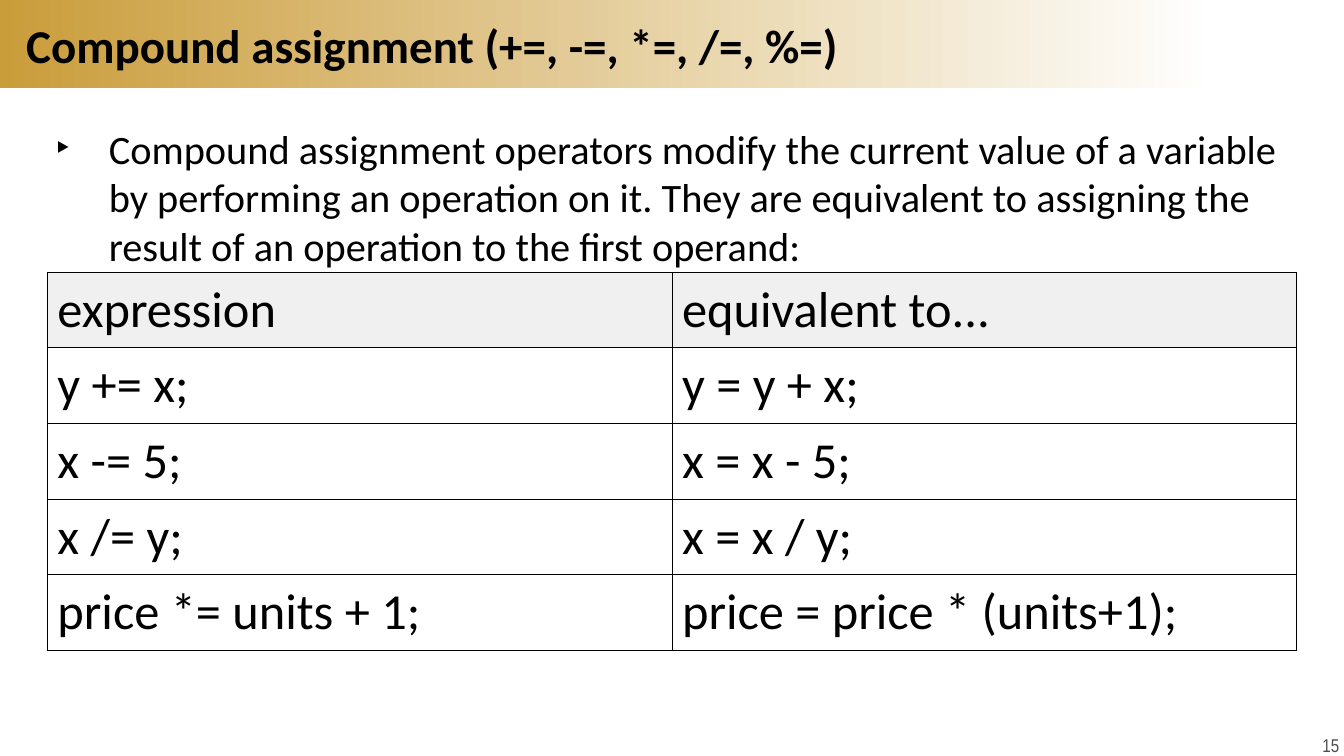
from lxml import etree
from pptx import Presentation, util as u
from pptx.dml.color import RGBColor
from pptx.enum import shapes, text
from pptx.oxml import ns

COLORS = {"gold": "CA9D3B", "white": "FFFFFF", "black": "000000",
          "header": "F0F0F0", "grey": "4D4D4D"}
OPERATORS = [
    ("expression", "equivalent to..."),
    ("y += x;", "y = y + x;"),
    ("x -= 5;", "x = x - 5;"),
    ("x /= y;", "x = x / y;"),
    ("price *= units + 1;", "price = price * (units+1);"),
]


def color(name):
    return RGBColor.from_string(COLORS[name])


def write(frame, words, size, ink="black", font="Calibri", bold=False, **layout):
    frame.text = words
    for name, value in layout.items():
        setattr(frame, name, value)
    line = frame.paragraphs[0]
    line.space_before = u.Pt(0)
    run_font = line.runs[0].font
    for name, value in {"name": font, "size": u.Pt(size), "bold": bold}.items():
        setattr(run_font, name, value)
    run_font.color.rgb = color(ink)
    return line


deck = Presentation()
deck.slide_width, deck.slide_height = u.Inches(13.33), u.Inches(7.5)
slide = deck.slides.add_slide(deck.slide_layouts[1])
title, explanation = slide.placeholders

# Gold banner, behind the title
banner = slide.shapes.add_shape(shapes.MSO_SHAPE.RECTANGLE, 0, 0,
                                u.Inches(12.06), u.Inches(0.87))
banner.shadow.inherit = False
banner.line.fill.background()
banner.fill.gradient()
banner.fill.gradient_angle = 0
for stop, shade in zip(banner.fill.gradient_stops, ("gold", "white")):
    stop.color.rgb = color(shade)
title._element.addprevious(banner._element)

# Title and explanation
for part, box in ((title, (0.26, 0.1, 12.81, 0.68)),
                  (explanation, (0.26, 1.23, 12.5, 1.42))):
    part.left, part.top, part.width, part.height = map(u.Inches, box)
flush = dict.fromkeys(("margin_left", "margin_right", "margin_top", "margin_bottom"), 0)
flush.update(auto_size=text.MSO_AUTO_SIZE.NONE, word_wrap=True)

heading = write(title.text_frame, "Compound assignment (+=, -=, *=, /=, %=)", 33.6,
                bold=True, vertical_anchor=text.MSO_ANCHOR.MIDDLE, **flush)
heading.alignment = text.PP_ALIGN.LEFT

bullet = write(
    explanation.text_frame,
    "Compound assignment operators modify the current value of a variable by "
    "performing an operation on it. They are equivalent to assigning the result "
    "of an operation to the first operand:",
    28.8, vertical_anchor=text.MSO_ANCHOR.TOP, **flush)
bullet.space_after = u.Pt(12)
bullet_format = bullet._p.get_or_add_pPr()
bullet_format.set("marL", str(u.Inches(0.82)))
bullet_format.set("indent", str(u.Inches(-0.53)))
etree.SubElement(bullet_format, ns.qn("a:buChar"), char="‣")

# Table of operators
row_height = 0.75
operators = slide.shapes.add_table(
    len(OPERATORS), 2, u.Inches(0.47), u.Inches(2.7),
    u.Inches(12.39), u.Inches(row_height * len(OPERATORS))).table
operators.first_row = operators.horz_banding = False
for row, expressions in enumerate(OPERATORS):
    operators.rows[row].height = u.Inches(row_height)
    for column, expression in enumerate(expressions):
        cell = operators.cell(row, column)
        cell.vertical_anchor = text.MSO_ANCHOR.MIDDLE
        write(cell.text_frame, expression, 36)
        cell_format = cell._tc.get_or_add_tcPr()
        for side in ("lnL", "lnR", "lnT", "lnB"):
            border = etree.SubElement(cell_format, ns.qn(f"a:{side}"), w=str(u.Pt(0.6)))
            ink = etree.SubElement(border, ns.qn("a:solidFill"))
            etree.SubElement(ink, ns.qn("a:srgbClr"), val=COLORS["black"])
        cell.fill.solid()
        cell.fill.fore_color.rgb = color("white" if row else "header")

# Page number
page = slide.shapes.add_textbox(*map(u.Inches, (13.04, 7.24, 0.32, 0.26)))
number = write(page.text_frame, "15", 13.2, "grey", "Arial Narrow", word_wrap=False,
               margin_left=u.Inches(0.07), margin_right=u.Inches(0.07),
               margin_top=u.Inches(0.04), margin_bottom=u.Inches(0.04))
number.alignment = text.PP_ALIGN.CENTER

deck.save("out.pptx")
